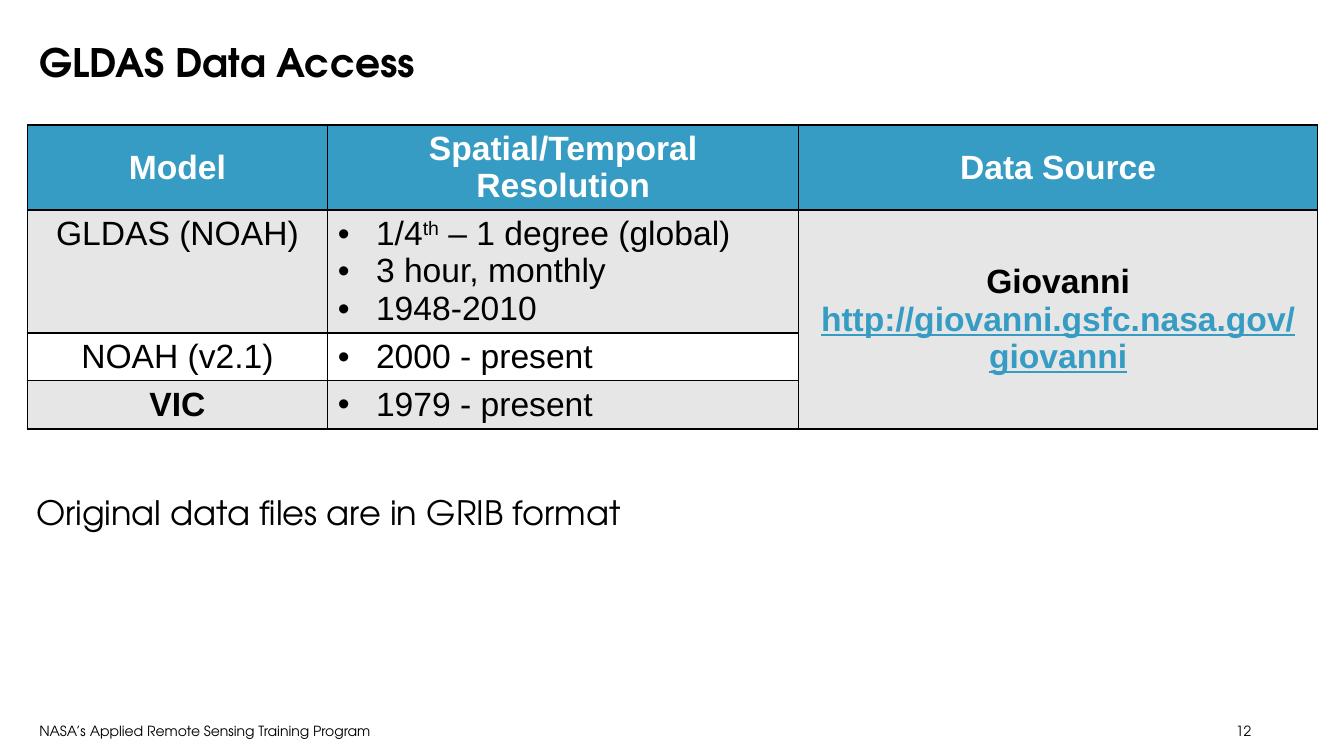
from dataclasses import dataclass

from lxml.etree import SubElement
from pptx import Presentation
from pptx.dml.color import RGBColor as RGB
from pptx.enum.text import MSO_ANCHOR as ANCHOR, MSO_AUTO_SIZE as AUTO, PP_ALIGN as ALIGN
from pptx.oxml.ns import qn
from pptx.util import Inches, Pt

# Content
TITLE = "GLDAS Data Access"
NOTE = "Original data files are in GRIB format"
FOOTER = "NASA’s Applied Remote Sensing Training Program"
PAGE = "12"
HEADERS = ["Model", "Spatial/Temporal Resolution", "Data Source"]
# Each model: name, bold, and resolution lines as (text, superscript) runs
MODELS = [
    ("GLDAS (NOAH)", False, [
        [("1/4", False), ("th", True), (" – 1 degree (global)", False)],
        [("3 hour, monthly", False)],
        [("1948-2010", False)],
    ]),
    ("NOAH (v2.1)", False, [[("2000 - present", False)]]),
    ("VIC", True, [[("1979 - present", False)]]),
]
SOURCE_NAME = "Giovanni"
SOURCE_LINK = "http://giovanni.gsfc.nasa.gov/giovanni"


@dataclass(frozen=True)
class Theme:
    display: str = "TeX Gyre Adventor"
    body: str = "Arial"
    black: RGB = RGB(0, 0, 0)
    white: RGB = RGB(255, 255, 255)
    blue: RGB = RGB(0x37, 0x9C, 0xC3)
    grey: RGB = RGB(0xE6, 0xE6, 0xE6)
    title_size: int = 28
    body_size: int = 24
    footer_size: int = 10


THEME = Theme()
LEFT = 0.26
COLUMN_WIDTHS = [2.98, 4.67, 5.15]
ROW_HEIGHTS = [0.84, 1.22, 0.47, 0.48]
BULLET_INDENT = Inches(0.38)


def add_run(paragraph, text, size=THEME.body_size, name=THEME.body,
            color=THEME.black, bold=False):
    run = paragraph.add_run()
    run.text = text
    font = run.font
    font.size, font.name, font.bold = Pt(size), name, bold
    font.color.rgb = color
    return run


def set_frame(frame, margin_x, margin_y):
    frame.word_wrap = True
    frame.auto_size = AUTO.NONE
    frame.margin_left = frame.margin_right = Inches(margin_x)
    frame.margin_top = frame.margin_bottom = Inches(margin_y)


def add_label(slide, text, box, size, margins, align=ALIGN.LEFT):
    frame = slide.shapes.add_textbox(*map(Inches, box)).text_frame
    set_frame(frame, *margins)
    paragraph = frame.paragraphs[0]
    paragraph.alignment = align
    add_run(paragraph, text, size, THEME.display)


def style_cell(cell, fill, anchor=ANCHOR.TOP):
    properties = cell._tc.get_or_add_tcPr()
    for side in ("lnL", "lnR", "lnT", "lnB"):
        line = SubElement(properties, qn(f"a:{side}"), w=str(Pt(1)))
        solid = SubElement(line, qn("a:solidFill"))
        SubElement(solid, qn("a:srgbClr"), val=str(THEME.black))
    cell.fill.solid()
    cell.fill.fore_color.rgb = fill
    cell.vertical_anchor = anchor


def center_text(paragraph, text, **style):
    paragraph.alignment = ALIGN.CENTER
    return add_run(paragraph, text, **style)


def add_bullet(paragraph):
    properties = paragraph._p.get_or_add_pPr()
    properties.set("marL", str(BULLET_INDENT))
    properties.set("indent", str(-BULLET_INDENT))
    color = SubElement(properties, qn("a:buClr"))
    SubElement(color, qn("a:srgbClr"), val=str(THEME.black))
    SubElement(properties, qn("a:buFont"), typeface=THEME.body)
    SubElement(properties, qn("a:buChar"), char="•")


def add_model_table(slide):
    box = (0.27, 1.24, sum(COLUMN_WIDTHS), sum(ROW_HEIGHTS))
    table = slide.shapes.add_table(
        len(ROW_HEIGHTS), len(COLUMN_WIDTHS), *map(Inches, box)).table
    for column, width in zip(table.columns, COLUMN_WIDTHS):
        column.width = Inches(width)
    for row, height in zip(table.rows, ROW_HEIGHTS):
        row.height = Inches(height)

    # Header row
    for column, header in enumerate(HEADERS):
        cell = table.cell(0, column)
        style_cell(cell, THEME.blue, ANCHOR.MIDDLE)
        center_text(cell.text_frame.paragraphs[0], header, color=THEME.white, bold=True)

    # Model rows, banded grey and white
    for row, (model, bold, resolution) in enumerate(MODELS, start=1):
        fill = THEME.grey if row % 2 else THEME.white
        name_cell, resolution_cell = table.cell(row, 0), table.cell(row, 1)
        style_cell(name_cell, fill)
        style_cell(resolution_cell, fill)
        style_cell(table.cell(row, 2), THEME.grey, ANCHOR.MIDDLE)
        center_text(name_cell.text_frame.paragraphs[0], model, bold=bold)
        frame = resolution_cell.text_frame
        for index, runs in enumerate(resolution):
            paragraph = frame.add_paragraph() if index else frame.paragraphs[0]
            add_bullet(paragraph)
            for text, superscript in runs:
                run = add_run(paragraph, text)
                if superscript:
                    run._r.get_or_add_rPr().set("baseline", "30000")

    # Data source shared by all models
    source = table.cell(1, 2)
    source.merge(table.cell(len(MODELS), 2))
    frame = source.text_frame
    center_text(frame.paragraphs[0], SOURCE_NAME, bold=True)
    link = center_text(frame.add_paragraph(), SOURCE_LINK, color=THEME.blue, bold=True)
    link.font.underline = True


def main():
    presentation = Presentation()
    presentation.slide_width, presentation.slide_height = Inches(13.33), Inches(7.5)
    slide = presentation.slides.add_slide(presentation.slide_layouts[5])

    # Title
    title = slide.shapes.title
    title.left, title.top, title.width, title.height = map(Inches, (LEFT, 0.3, 12.8, 0.63))
    frame = title.text_frame
    set_frame(frame, 0.13, 0.07)
    frame.vertical_anchor = ANCHOR.MIDDLE
    frame.paragraphs[0].alignment = ALIGN.LEFT
    add_run(frame.paragraphs[0], TITLE, THEME.title_size, THEME.display, bold=True)

    # Table, note and footer
    add_model_table(slide)
    add_label(slide, NOTE, (LEFT, 4.83, 7, 0.5), THEME.body_size, (0.1, 0.05))
    add_label(slide, FOOTER, (LEFT, 7.1, 4.29, 0.3), THEME.footer_size, (0.13, 0.07))
    add_label(slide, PAGE, (11.79, 7.1, 0.75, 0.3), THEME.footer_size, (0.13, 0.07), ALIGN.RIGHT)

    presentation.save("out.pptx")


if __name__ == "__main__":
    main()
